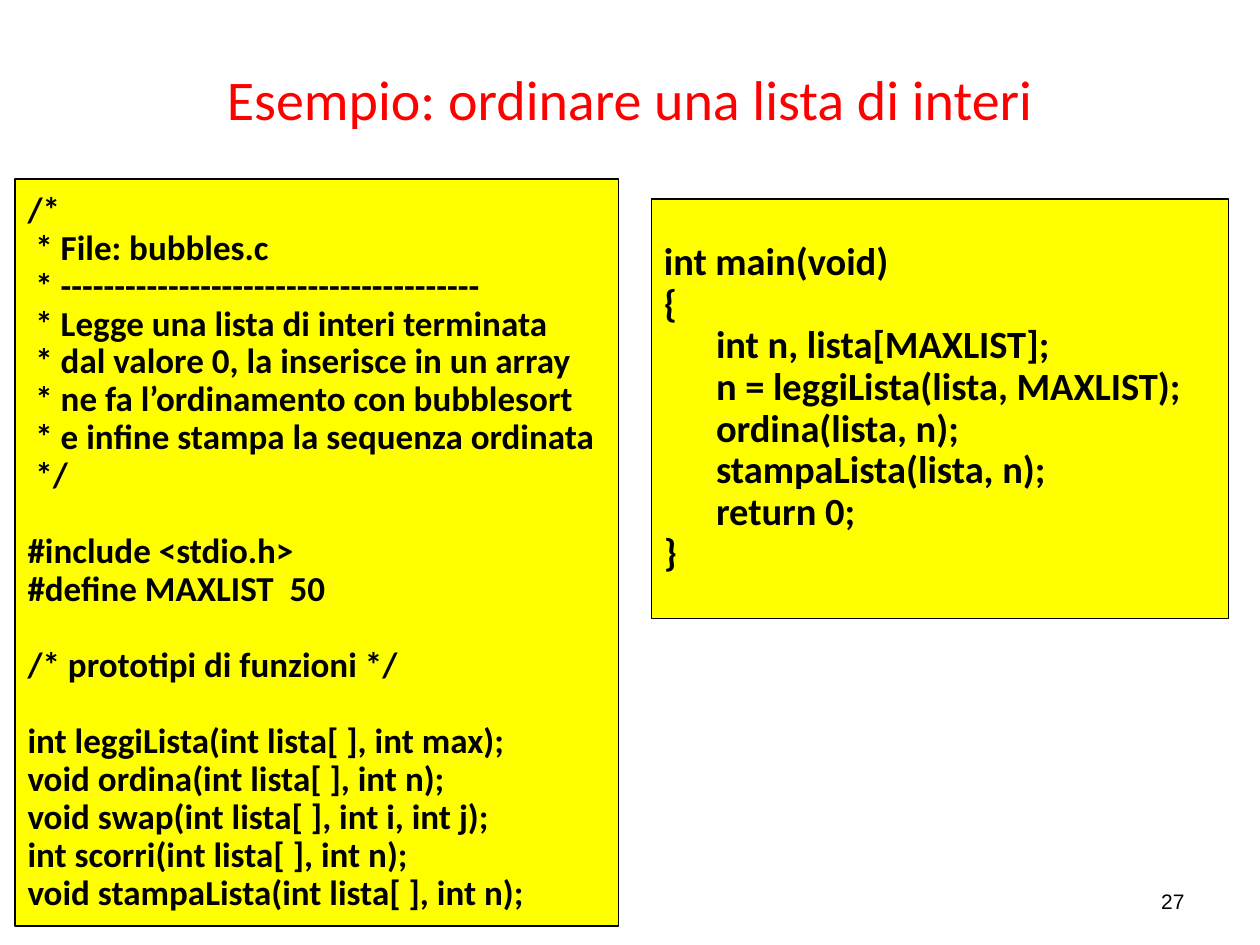
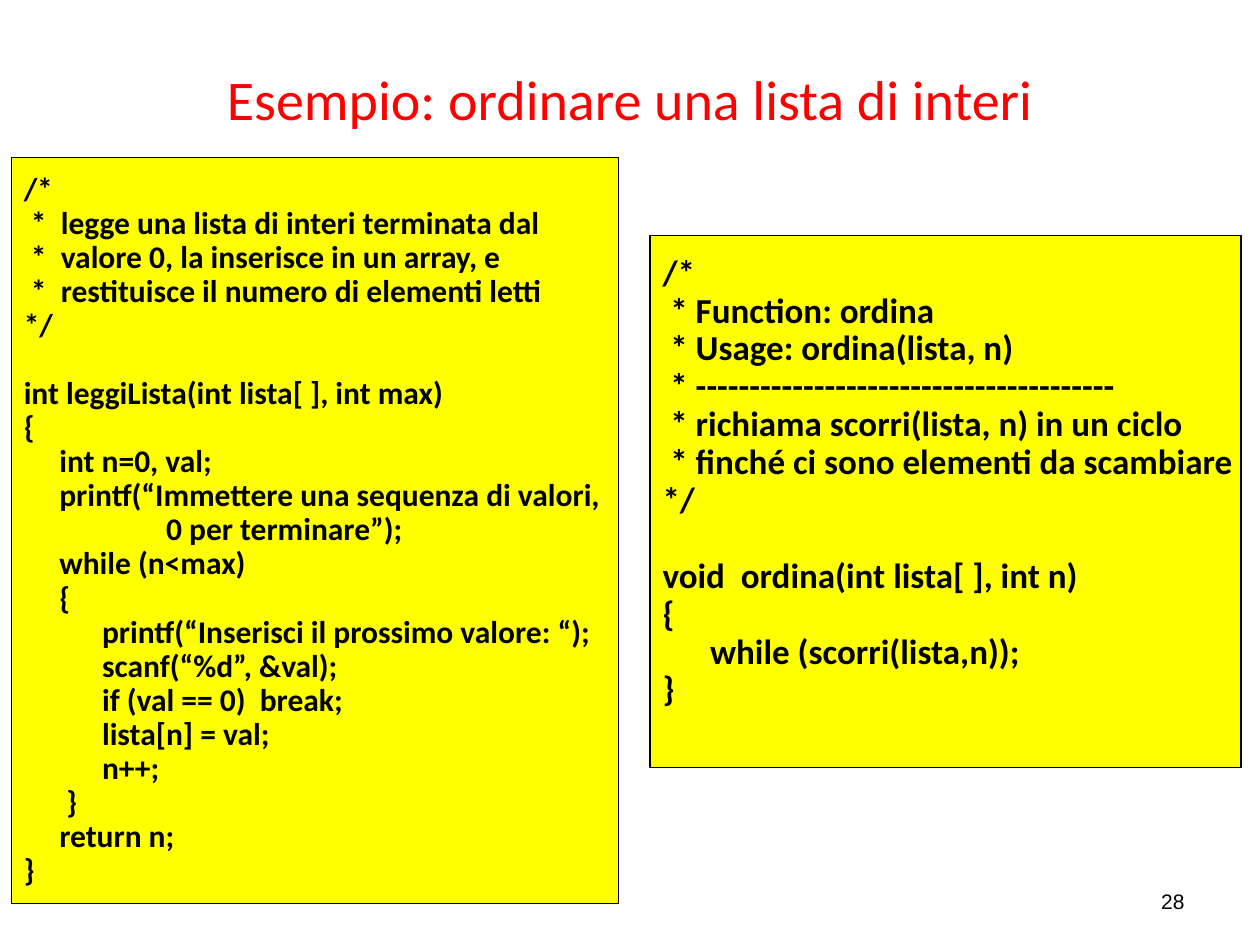
from pptx import Presentation
from pptx.dml.color import RGBColor
from pptx.enum.shapes import MSO_SHAPE
from pptx.enum.text import MSO_ANCHOR, PP_ALIGN
from pptx.util import Inches, Pt

COLORS = {"title": "FF0000", "text": "000000", "code": "FFFF00", "line": "000000"}
TITLE = "Esempio: ordinare una lista di interi"
FIRST_NUMBER = 27
LINE_SPACING = 0.9
LINE_HEIGHT = 1.22  # natural line height of Calibri, in ems
SPACE_WIDTH = 0.226  # width of a bold Calibri space, in ems

# Each code box: position and size, font size, empty lines below, code
SLIDES = [
    [
        ((0.12, 1.42, 4.79, 5.93), 20, 0, """/*
 * File: bubbles.c
 * ---------------------------------------
 * Legge una lista di interi terminata
 * dal valore 0, la inserisce in un array
 * ne fa l’ordinamento con bubblesort
 * e infine stampa la sequenza ordinata
 */

#include <stdio.h>
#define MAXLIST  50

/* prototipi di funzioni */

int leggiLista(int lista[ ], int max);
void ordina(int lista[ ], int n);
void swap(int lista[ ], int i, int j);
int scorri(int lista[ ], int n);
void stampaLista(int lista[ ], int n);"""),
        ((5.17, 1.58, 4.58, 3.33), 22, 0, """int main(void)
{
      int n, lista[MAXLIST];
      n = leggiLista(lista, MAXLIST);
      ordina(lista, n);
      stampaLista(lista, n);
      return 0;
}"""),
    ],
    [
        ((0.09, 1.25, 4.82, 5.92), 18, 0, """/*
 *  legge una lista di interi terminata dal
 *  valore 0, la inserisce in un array, e
 *  restituisce il numero di elementi letti
*/

int leggiLista(int lista[ ], int max)
{
     int n=0, val;
     printf(“Immettere una sequenza di valori,
                    0 per terminare”);
     while (n<max)
     {
           printf(“Inserisci il prossimo valore: “);
           scanf(“%d”, &val);
           if (val == 0)  break;
           lista[n] = val;
           n++;
      }
     return n;
}"""),
        ((5.16, 1.87, 4.69, 4.22), 20, 1, """/*
 * Function: ordina
 * Usage: ordina(lista, n)
 * ---------------------------------------
 * richiama scorri(lista, n) in un ciclo
 * finché ci sono elementi da scambiare
*/

void  ordina(int lista[ ], int n)
{
      while (scorri(lista,n));
}"""),
    ],
]


def style(p, font, size, color, align, bold=False):
    p.alignment = align
    p.font.name = font
    p.font.size = Pt(size)
    p.font.bold = bold
    p.font.color.rgb = RGBColor.from_string(COLORS[color])


def add_code(s, box, size, lines_below, code):
    sp = s.shapes.add_shape(MSO_SHAPE.FLOWCHART_PROCESS, *map(Inches, box))
    sp.shadow.inherit = False
    sp.fill.solid()
    sp.fill.fore_color.rgb = RGBColor.from_string(COLORS["code"])
    sp.line.color.rgb = RGBColor.from_string(COLORS["line"])
    sp.line.width = Pt(0.75)

    line_step = size * LINE_HEIGHT * LINE_SPACING
    tf = sp.text_frame
    tf.word_wrap = True
    tf.vertical_anchor = MSO_ANCHOR.MIDDLE
    tf.margin_left, tf.margin_right = Inches(0.1), 0
    tf.margin_top = Inches(0.05)
    tf.margin_bottom = Inches(0.05) + Pt(lines_below * line_step)

    # Empty lines become spacing, leading spaces become indents
    p, gap = tf.paragraphs[0], 0
    for i, line in enumerate(code.split("\n")):
        if not line:
            gap += line_step
            continue
        if i:
            p = tf.add_paragraph()
        p.text = line.lstrip()
        style(p, "Calibri", size, "text", PP_ALIGN.JUSTIFY, bold=True)
        p.line_spacing = LINE_SPACING
        p.space_before = Pt(gap)
        indent = (len(line) - len(p.text)) * SPACE_WIDTH * size
        p._p.get_or_add_pPr().set("marL", str(Pt(indent)))
        gap = 0


prs = Presentation()
prs.slide_width, prs.slide_height = Inches(10), Inches(7.5)

for number, boxes in enumerate(SLIDES, FIRST_NUMBER):
    s = prs.slides.add_slide(prs.slide_layouts[5])

    # Title
    title = s.shapes.title
    title.left, title.top = Inches(0.5), Inches(0.3)
    title.width, title.height = Inches(9), Inches(0.95)
    title.text_frame.text = TITLE
    title.text_frame.vertical_anchor = MSO_ANCHOR.MIDDLE
    style(title.text_frame.paragraphs[0], "Calibri", 32, "title", PP_ALIGN.CENTER)

    # Page number
    tf = s.shapes.add_textbox(Inches(7.17), Inches(6.95), Inches(2.33), Inches(0.4)).text_frame
    tf.word_wrap = True
    tf.vertical_anchor = MSO_ANCHOR.MIDDLE
    tf.text = str(number)
    style(tf.paragraphs[0], "Arial", 12, "text", PP_ALIGN.RIGHT)

    # Code boxes
    for box in boxes:
        add_code(s, *box)

prs.save("out.pptx")
